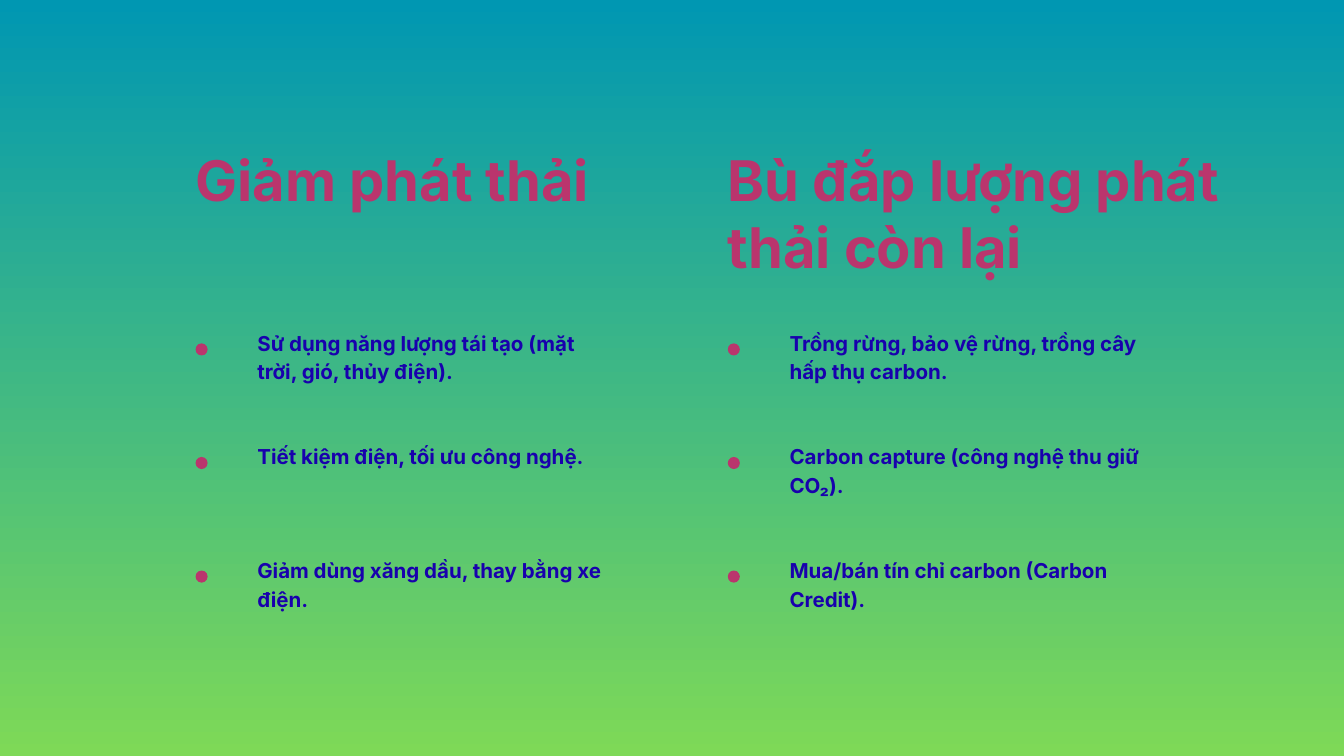
import pptx
import pptx.dml.color
import pptx.enum.shapes
import pptx.enum.text
import pptx.util

Inches = pptx.util.Inches
Pt = pptx.util.Pt
RGB = pptx.dml.color.RGBColor

TEAL = RGB(0x00, 0x97, 0xB2)
GREEN = RGB(0x7E, 0xD9, 0x57)
PINK = RGB(0xBA, 0x35, 0x6D)
BLUE = RGB(0x18, 0x00, 0xAD)

HEAD = {"size": Pt(60), "name": "Inter", "bold": True}
BODY = {"size": Pt(22), "name": "Inter", "bold": True}
FRAME = {
    "margin_left": 0, "margin_top": 0, "margin_right": 0, "margin_bottom": 0,
    "word_wrap": True,
    "auto_size": pptx.enum.text.MSO_AUTO_SIZE.NONE,
    "vertical_anchor": pptx.enum.text.MSO_ANCHOR.TOP,
}

TOP = 2.16
LIST_TOP = 2.7
PITCH = 1.69
DOT = 0.18
DOT_DROP = 0.25
INDENT = 0.92
ITEM_WIDTH = 5.34

COLUMNS = [
    ((2.91, TOP, 6.26, 1.01), "Giảm phát thải", [
        "Sử dụng năng lượng tái tạo (mặt trời, gió, thủy điện).",
        "Tiết kiệm điện, tối ưu công nghệ.",
        "Giảm dùng xăng dầu, thay bằng xe điện.",
    ]),
    ((10.83, TOP, 7.32, 2.01), "Bù đắp lượng phát thải còn lại", [
        "Trồng rừng, bảo vệ rừng, trồng cây hấp thụ carbon.",
        "Carbon capture (công nghệ thu giữ CO₂).",
        "Mua/bán tín chỉ carbon (Carbon Credit).",
    ]),
]


def apply(target, values):
    for key, value in values.items():
        setattr(target, key, value)


def write(shape, text, font, color, leading):
    frame = shape.text_frame
    apply(frame, FRAME)
    para = frame.paragraphs[0]
    run = para.add_run()
    run.text = text
    apply(run.font, font)
    run.font.color.rgb = color
    apply(para, {
        "alignment": pptx.enum.text.PP_ALIGN.LEFT,
        "line_spacing": Pt(leading),
        "space_before": Pt(0),
    })


def paint(slide):
    fill = slide.background.fill
    fill.gradient()
    fill.gradient_angle = 270
    for stop, color in zip(fill.gradient_stops, (TEAL, GREEN)):
        stop.color.rgb = color


def add_item(slide, left, top, text):
    dot = slide.shapes.add_shape(
        pptx.enum.shapes.MSO_SHAPE.OVAL,
        Inches(left), Inches(top + DOT_DROP), Inches(DOT), Inches(DOT))
    dot.shadow.inherit = False
    dot.fill.solid()
    dot.fill.fore_color.rgb = PINK
    dot.line.fill.background()
    box = slide.shapes.add_textbox(
        Inches(left + INDENT), Inches(top), Inches(ITEM_WIDTH), Inches(0.83))
    write(box, text, BODY, BLUE, 30.8)


def add_column(slide, box, head, text, items):
    left, top, width, height = box
    apply(head, {
        "left": Inches(left), "top": Inches(top),
        "width": Inches(width), "height": Inches(height),
    })
    write(head, text, HEAD, PINK, 72)
    for row, item in enumerate(items):
        add_item(slide, left, top + LIST_TOP + row * PITCH, item)


def main():
    deck = pptx.Presentation()
    deck.slide_width = Inches(20)
    deck.slide_height = Inches(11.25)
    slide = deck.slides.add_slide(deck.slide_layouts[5])
    paint(slide)
    heads = [slide.shapes.title, slide.shapes.add_textbox(0, 0, 0, 0)]
    for head, (box, text, items) in zip(heads, COLUMNS):
        add_column(slide, box, head, text, items)
    deck.save("out.pptx")


if __name__ == "__main__":
    main()
